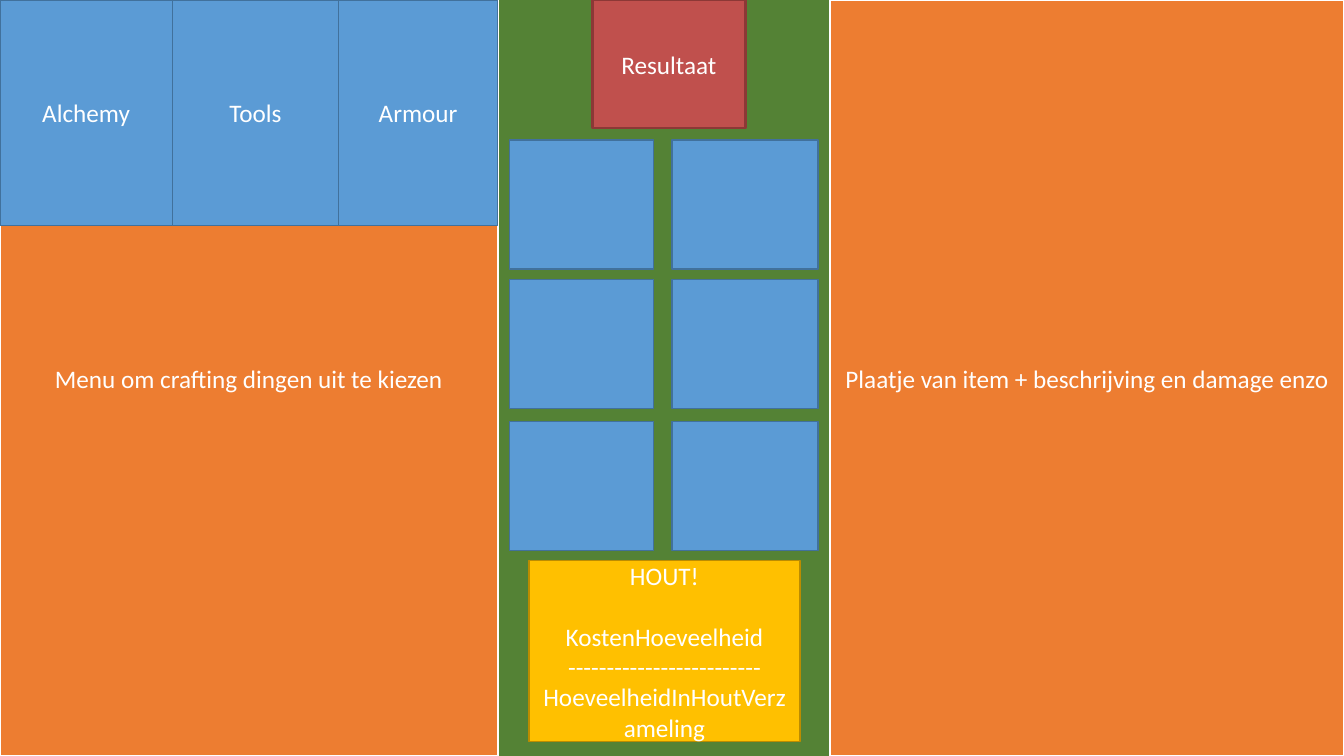
from dataclasses import dataclass
from itertools import product

from pptx import Presentation, util as u
from pptx.dml.color import RGBColor
from pptx.enum import shapes, text
from pptx.slide import Slide

GREEN = RGBColor(0x54, 0x82, 0x35)
WHITE = RGBColor(0xFF, 0xFF, 0xFF)
ORANGE = RGBColor(0xED, 0x7D, 0x31)
BLUE = RGBColor(0x5B, 0x9B, 0xD5)
DARK_BLUE = RGBColor(0x41, 0x71, 0x9C)
RED = RGBColor(0xC0, 0x50, 0x4D)
DARK_RED = RGBColor(0x8C, 0x38, 0x36)
GOLD = RGBColor(0xFF, 0xC0, 0x00)
DARK_GOLD = RGBColor(0xBC, 0x8C, 0x00)

FONT_FORMAT = {"name": "Calibri", "size": u.Pt(18)}
FRAME_FORMAT = {"word_wrap": True, "vertical_anchor": text.MSO_ANCHOR.MIDDLE}


@dataclass(frozen=True)
class Style:
    fill: RGBColor
    line: RGBColor
    weight: float = 1


@dataclass(frozen=True)
class Panel:
    left: float
    top: float
    width: float
    height: float
    style: Style
    lines: tuple[str, ...] = ()
    first_gap: float = 0  # points below the first line


SLOT = Style(BLUE, DARK_BLUE)
AREA = Style(ORANGE, WHITE, 1.5)
RESULT = Style(RED, DARK_RED, 2)
COST = Style(GOLD, DARK_GOLD)

# Crafting grid
SLOT_COLUMNS = ((5.06, 1.43), (6.67, 1.45))
SLOT_ROWS = (1.39, 2.77, 4.18)
SLOT_HEIGHT = 1.28

# Category tabs
TABS = (("Alchemy", 0, 1.71), ("Tools", 1.71, 1.65), ("Armour", 3.36, 1.58))
TAB_HEIGHT = 2.24

PANELS = [
    Panel(5.25, 5.56, 2.69, 1.8, COST,
          ("HOUT!", "KostenHoeveelheid", "-" * 25,
           "HoeveelheidInHoutVerzameling"), first_gap=22),
    *(Panel(left, top, width, SLOT_HEIGHT, SLOT)
      for top, (left, width) in product(SLOT_ROWS, SLOT_COLUMNS)),
    Panel(0, 0, 4.94, 7.5, AREA, ("Menu om crafting dingen uit te kiezen",)),
    Panel(8.24, 0, 5.1, 7.5, AREA,
          ("Plaatje van item + beschrijving en damage enzo",)),
    *(Panel(left, 0, width, TAB_HEIGHT, SLOT, (name,))
      for name, left, width in TABS),
    Panel(5.88, 0, 1.52, 1.27, RESULT, ("Resultaat",)),
]


def apply_format(target: object, values: dict) -> None:
    for name, value in values.items():
        setattr(target, name, value)


def draw_panel(page: Slide, panel: Panel) -> None:
    box = page.shapes.add_shape(
        shapes.MSO_SHAPE.RECTANGLE, u.Inches(panel.left), u.Inches(panel.top),
        u.Inches(panel.width), u.Inches(panel.height))
    box.shadow.inherit = False
    box.fill.solid()
    box.fill.fore_color.rgb = panel.style.fill
    box.line.color.rgb = panel.style.line
    box.line.width = u.Pt(panel.style.weight)

    frame = box.text_frame
    apply_format(frame, FRAME_FORMAT)
    for index, line in enumerate(panel.lines):
        para = frame.add_paragraph() if index else frame.paragraphs[0]
        para.alignment = text.PP_ALIGN.CENTER
        span = para.add_run()
        span.text = line
        apply_format(span.font, FONT_FORMAT)
        span.font.color.rgb = WHITE
    if panel.first_gap:
        frame.paragraphs[0].space_after = u.Pt(panel.first_gap)


def main() -> None:
    deck = Presentation()
    deck.slide_width, deck.slide_height = u.Inches(13.34), u.Inches(7.5)
    page = deck.slides.add_slide(deck.slide_layouts.get_by_name("Blank"))
    page.background.fill.solid()
    page.background.fill.fore_color.rgb = GREEN
    for panel in PANELS:
        draw_panel(page, panel)
    deck.save("out.pptx")


if __name__ == "__main__":
    main()
